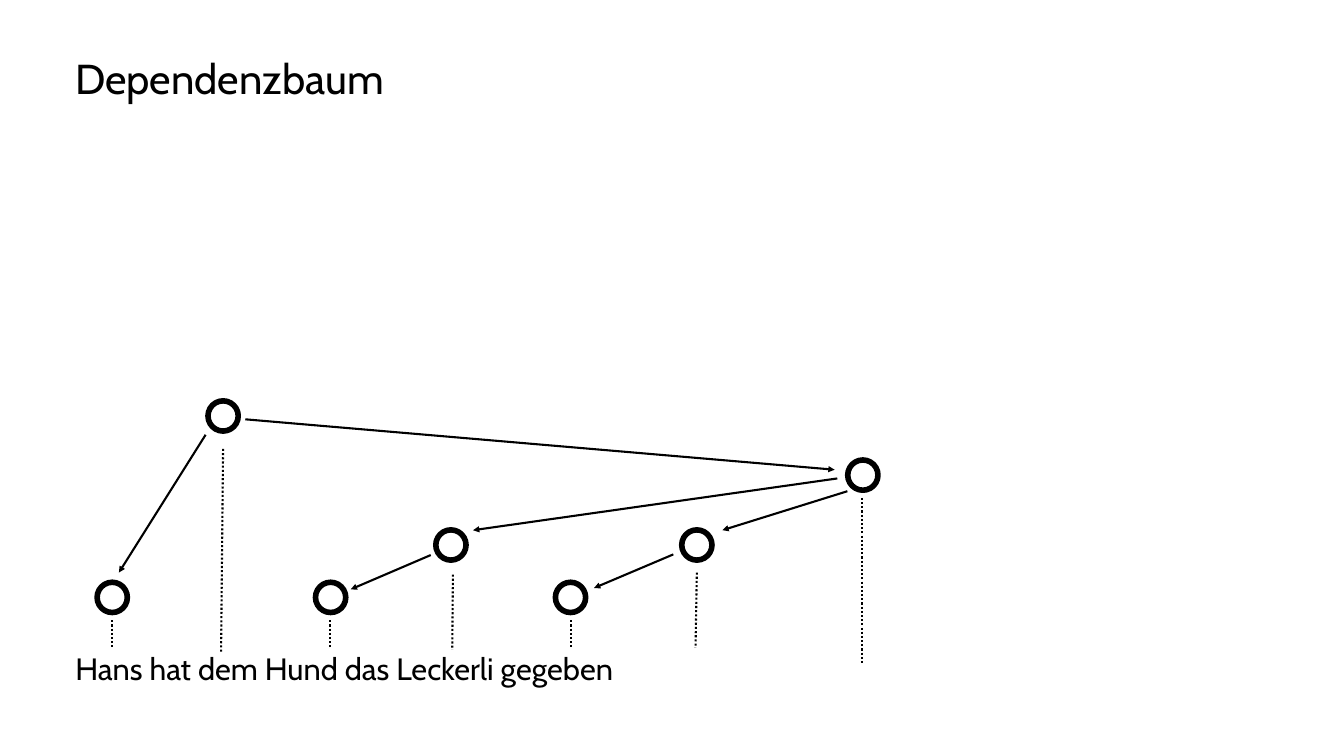
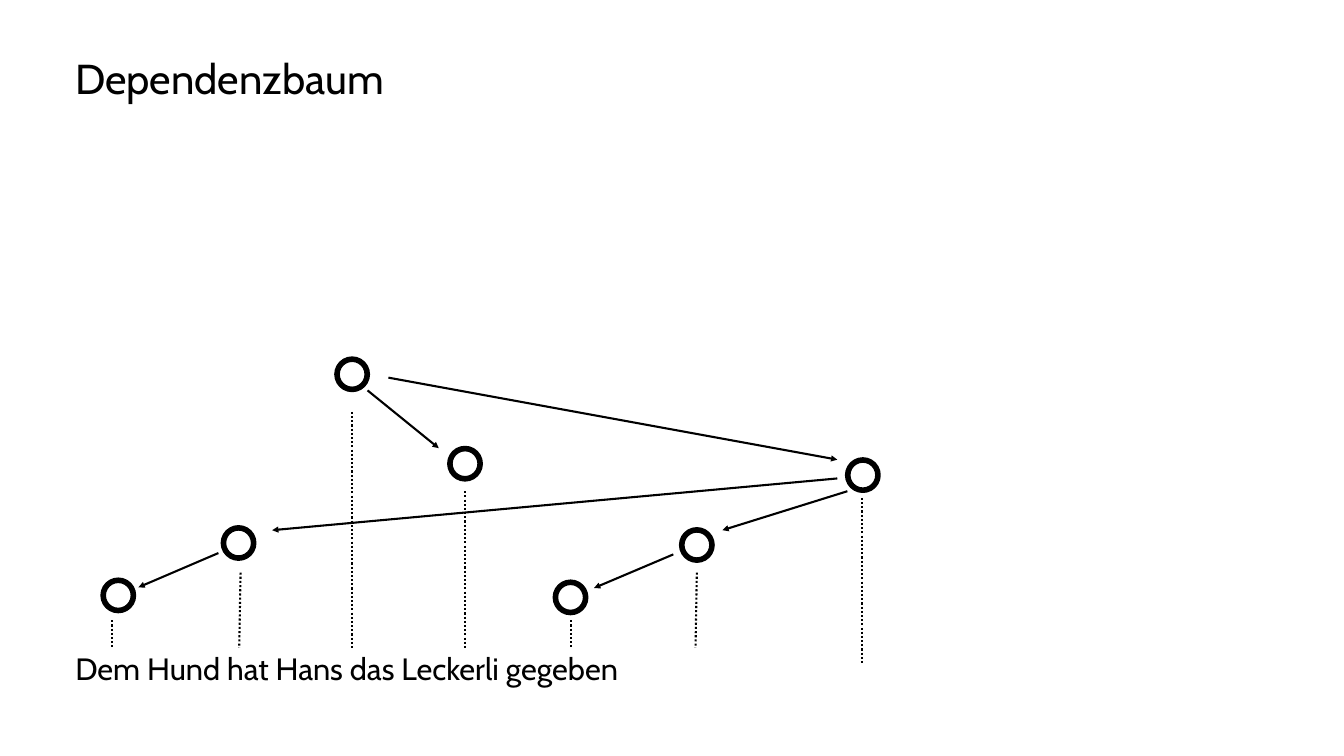
from lxml.etree import SubElement as Sub
from pptx import Presentation
from pptx.dml.color import RGBColor
from pptx.enum.dml import MSO_LINE_DASH_STYLE as Dash
from pptx.enum.shapes import MSO_CONNECTOR as Conn, MSO_SHAPE as Shape
from pptx.enum.text import MSO_AUTO_SIZE as Fit, PP_ALIGN as Align
from pptx.oxml.ns import qn
from pptx.util import Inches, Pt


def color(code):
    return RGBColor.from_string(code)


def apply(obj, form):
    for name, value in form.items():
        setattr(obj, name, value)


class Deck:
    ink, paper, face = "000000", "FFFFFF", "Cabin"
    node_size, node_line, edge_line = 0.45, 6, 2.25
    frame = dict(margin_left=0, margin_right=0, margin_top=0, margin_bottom=0,
                 word_wrap=True, auto_size=Fit.NONE)

    def __init__(self):
        self.prs = Presentation()
        apply(self.prs, dict(slide_width=Inches(20), slide_height=Inches(11.25)))
        self.slide = None

    def page(self):
        self.slide = self.prs.slides.add_slide(self.prs.slide_layouts[6])
        fill = self.slide.background.fill
        fill.solid()
        fill.fore_color.rgb = color(self.paper)

    def text(self, words, box, size, lead, align):
        frame = self.slide.shapes.add_textbox(*map(Inches, box)).text_frame
        apply(frame, self.frame)
        para = frame.paragraphs[0]
        run = para.add_run()
        run.text = words
        apply(para, dict(line_spacing=Pt(lead), alignment=align))
        apply(run.font, dict(size=Pt(size), name=self.face))
        run.font.color.rgb = color(self.ink)

    def stroke(self, line, width):
        line.width = Pt(width)
        line.color.rgb = color(self.ink)

    def node(self, x, y):
        size, half = self.node_size, self.node_size / 2
        ring = self.slide.shapes.add_shape(
            Shape.OVAL, *map(Inches, (x - half, y - half, size, size)))
        ring.shadow.inherit = False
        ring.fill.background()
        self.stroke(ring.line, self.node_line)

    def link(self, ends):
        link = self.slide.shapes.add_connector(Conn.STRAIGHT, *map(Inches, ends))
        self.stroke(link.line, self.edge_line)
        Sub(link._element.spPr, qn("a:effectLst"))
        return link.line

    def drop(self, ends):
        self.link(ends).dash_style = Dash.ROUND_DOT

    def arrow(self, ends):
        Sub(self.link(ends)._get_or_add_ln(), qn("a:tailEnd"), type="triangle")

    def tree(self, words, nodes, drops, arrows):
        self.page()
        self.text("Dependenzbaum", (1.12, 0.66, 6.56, 0.83), 44.8, 62.6, Align.LEFT)
        self.text(words, (1.12, 9.57, 12.72, 1.26), 33, 46.2, Align.JUSTIFY)
        for spot in nodes:
            self.node(*spot)
        for ends in drops:
            self.drop(ends)
        for ends in arrows:
            self.arrow(ends)


# Parts of the tree that both sentences share: "das Leckerli gegeben"
NODES = [(8.49, 8.89), (10.37, 8.11), (12.84, 7.07)]
DROPS = [(1.67, 9.23, 1.67, 9.64), (8.5, 9.23, 8.5, 9.64),
         (10.37, 8.52, 10.35, 9.64), (12.83, 7.41, 12.83, 9.86)]
ARROWS = [(12.61, 7.31, 10.75, 7.89), (10.02, 8.25, 8.84, 8.75)]


def main():
    deck = Deck()

    # Subject first
    deck.tree(
        "Hans hat dem Hund das Leckerli gegeben",
        [(3.32, 6.19), (1.67, 8.89), (4.92, 8.89), (6.71, 8.11)] + NODES,
        [(4.91, 9.23, 4.91, 9.64), (6.74, 8.55, 6.73, 9.67),
         (3.32, 6.68, 3.29, 9.7)] + DROPS,
        [(3.65, 6.24, 12.42, 6.99), (3.06, 6.47, 1.77, 8.52),
         (12.46, 7.12, 7.04, 7.89), (6.41, 8.26, 5.22, 8.77)] + ARROWS)

    # Dative object first
    deck.tree(
        "Dem Hund hat Hans das Leckerli gegeben",
        [(5.24, 5.57), (6.92, 6.9), (1.76, 8.86), (3.55, 8.08)] + NODES,
        [(5.24, 6.13, 5.24, 9.64), (3.58, 8.52, 3.56, 9.64),
         (6.92, 7.31, 6.92, 9.64)] + DROPS,
        [(5.78, 5.62, 12.46, 6.84), (5.47, 5.81, 6.53, 6.67),
         (12.46, 7.12, 4.05, 7.89), (3.25, 8.23, 2.06, 8.74)] + ARROWS)

    deck.prs.save("out.pptx")


if __name__ == "__main__":
    main()
